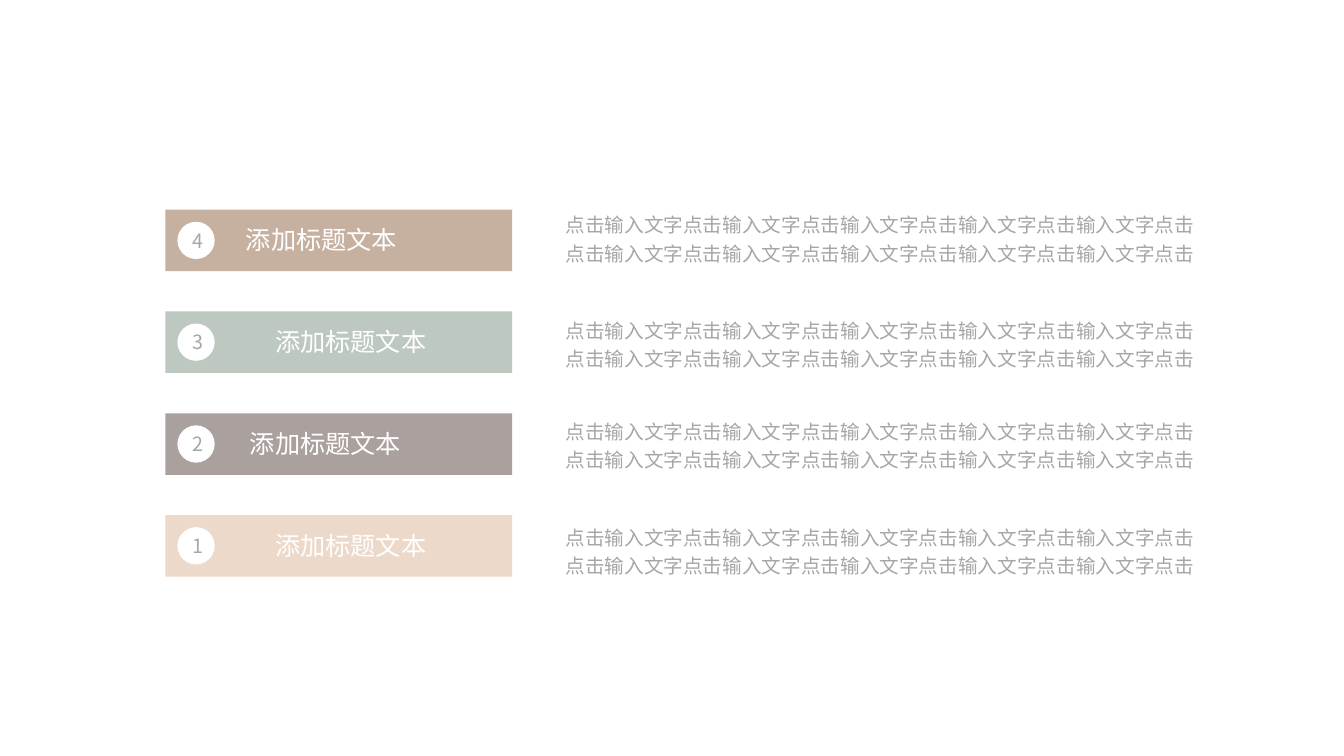
import pptx
import pptx.util
import pptx.dml.color
import pptx.enum.shapes
import pptx.enum.text
import pptx.oxml.ns
import lxml.etree

Inches = pptx.util.Inches
Kind = pptx.enum.shapes.MSO_SHAPE
Align = pptx.enum.text.PP_ALIGN

# Content: number, bar colour, label left, body top (from the top row down)
FONT = "Noto Sans CJK SC"
WHITE, GREY = "FFFFFF", "A6A6A6"
LABEL = "添加标题文本"
LINE = "点击输入文字点击输入文字点击输入文字点击输入文字点击输入文字点击"
ROWS = [
    ("4", "C6B0A0", 2.34, 2.02),
    ("3", "BDC8C0", 2.63, 3.07),
    ("2", "AAA09E", 2.38, 4.07),
    ("1", "ECD9CA", 2.63, 5.12),
]

# Layout in inches
LEFT, TOP, STEP = 1.64, 2.08, 1.01
BAR_W, BAR_H, DISC = 3.44, 0.61, 0.37
INSET = (BAR_H - DISC) / 2


def color(code):
    return pptx.dml.color.RGBColor.from_string(code)


def style(frame, size, code, align=Align.LEFT, gap=None):
    for para in frame.paragraphs:
        para.alignment = align
        para.line_spacing = gap
        for run in para.runs:
            run.font.size = pptx.util.Pt(size)
            run.font.name = FONT
            run.font.color.rgb = color(code)
            # East Asian text needs its own typeface entry
            props = run.font._element
            ea = lxml.etree.SubElement(props, pptx.oxml.ns.qn("a:ea"))
            ea.set("typeface", FONT)


def add_form(group, kind, x, y, w, h, fill):
    form = group.shapes.add_shape(kind, Inches(x), Inches(y), Inches(w), Inches(h))
    form.shadow.inherit = False
    form.fill.solid()
    form.fill.fore_color.rgb = color(fill)
    form.line.fill.background()
    return form


def add_text(owner, text, x, y, w, h, wrap):
    box = owner.shapes.add_textbox(Inches(x), Inches(y), Inches(w), Inches(h))
    frame = box.text_frame
    frame.word_wrap = wrap
    frame.auto_size = pptx.enum.text.MSO_AUTO_SIZE.SHAPE_TO_FIT_TEXT
    frame.text = text
    return frame


def add_row(slide, index, number, fill, label_x, body_y):
    top = TOP + index * STEP
    group = slide.shapes.add_group_shape()

    # Bar
    bar = add_form(group, Kind.ROUNDED_RECTANGLE, LEFT, top, BAR_W, BAR_H, fill)
    bar.adjustments[0] = 0

    # Numbered disc
    disc = add_form(group, Kind.OVAL, LEFT + INSET, top + INSET, DISC, DISC, WHITE)
    frame = disc.text_frame
    frame.text = number
    frame.vertical_anchor = pptx.enum.text.MSO_ANCHOR.MIDDLE
    style(frame, 14, GREY, Align.CENTER)

    # Label and body text
    style(add_text(group, LABEL, label_x, top + 0.1, 1.76, 0.4, False), 18, WHITE)
    body = add_text(slide, LINE + "\n" + LINE, 5.51, body_y, 6.45, 0.64, True)
    style(body, 14, GREY, gap=1.2)


def main():
    deck = pptx.Presentation()
    deck.slide_width, deck.slide_height = Inches(13.33), Inches(7.5)
    slide = deck.slides.add_slide(deck.slide_layouts[6])
    for index, row in enumerate(ROWS):
        add_row(slide, index, *row)
    deck.save("out.pptx")


if __name__ == "__main__":
    main()
